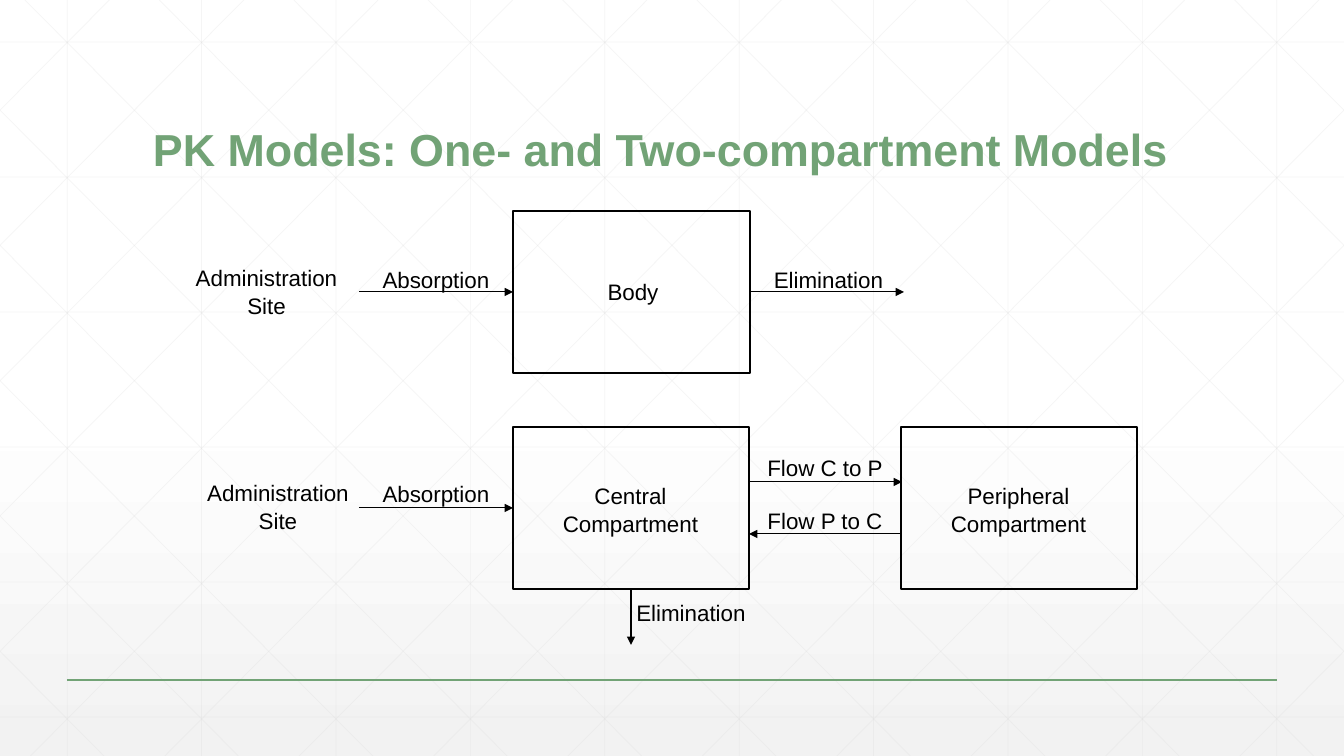
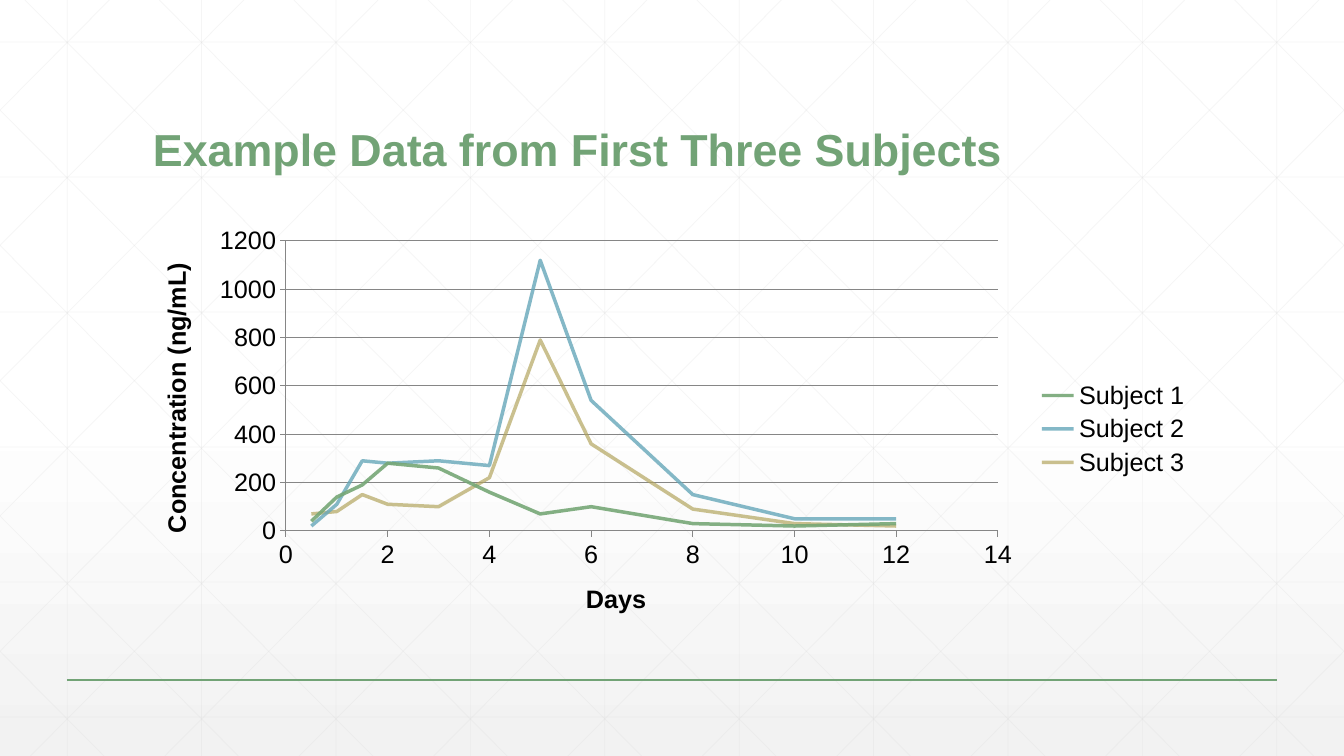
from dataclasses import dataclass

from lxml.etree import SubElement
from pptx import Presentation
from pptx.chart.data import XyChartData
from pptx.dml.color import RGBColor
from pptx.enum.chart import XL_CHART_TYPE as ChartType, XL_LEGEND_POSITION as LegendPosition
from pptx.enum.chart import XL_TICK_MARK as TickMark
from pptx.enum.shapes import MSO_CONNECTOR as Connector, MSO_SHAPE as ShapeKind
from pptx.enum.text import MSO_ANCHOR as Anchor, PP_ALIGN as Align
from pptx.oxml.ns import qn
from pptx.slide import Slide
from pptx.util import Emu, Pt

WIDTH, HEIGHT = 1344, 756
SCALE = 12192000 / WIDTH
FONT = "Arial"
GREEN, BLACK, GRID, AXIS = "72A376", "000000", "D9D9D9", "868686"
BACKGROUND_STOPS = ((0, "FFFFFF", 100), (53, "FFFFFF", 100), (100, "F2F2F2", 65))
GRID_PITCH = 134.4
DIAGONAL_RUN = 751


@dataclass(frozen=True)
class Box:
    """A rectangle on the slide, in pixels."""
    left: int
    top: int
    width: int
    height: int

    def emu(self) -> tuple[Emu, Emu, Emu, Emu]:
        """Return the four lengths in EMU."""
        return px(self.left), px(self.top), px(self.width), px(self.height)


@dataclass(frozen=True)
class Label:
    """A centred diagram label."""
    text: str
    box: Box
    anchor: Anchor = Anchor.MIDDLE


@dataclass(frozen=True)
class Arrow:
    """An arrow between two points, in pixels."""
    start: tuple[int, int]
    end: tuple[int, int]


@dataclass(frozen=True)
class Subject:
    """One concentration curve."""
    name: str
    color: str
    opacity: int
    values: tuple[int, ...]


COMPARTMENTS = (
    Box(513, 211, 237, 162),
    Box(513, 427, 236, 162),
    Box(901, 427, 236, 162),
)
LABELS = (
    Label("Elimination", Box(751, 260, 155, 32), Anchor.TOP),
    Label("Body", Box(515, 261, 236, 60)),
    Label("Absorption", Box(360, 260, 152, 32), Anchor.TOP),
    Label("Administration Site", Box(176, 260, 181, 62)),
    Label("Administration Site", Box(193, 475, 170, 62)),
    Label("Flow C to P", Box(757, 450, 136, 34)),
    Label("Elimination", Box(622, 595, 138, 34)),
    Label("Flow P to C", Box(757, 503, 136, 34)),
    Label("Central Compartment", Box(522, 479, 217, 60)),
    Label("Peripheral Compartment", Box(899, 479, 239, 60)),
    Label("Absorption", Box(370, 474, 132, 32), Anchor.TOP),
)
ARROWS = (
    Arrow((750, 292), (904, 292)),
    Arrow((359, 292), (513, 292)),
    Arrow((631, 589), (631, 645)),
    Arrow((359, 508), (513, 508)),
    Arrow((749, 482), (902, 482)),
    Arrow((902, 534), (749, 534)),
)
DAYS = (0.5, 1, 1.5, 2, 3, 4, 5, 6, 8, 10, 12)
SUBJECTS = (
    Subject("Subject 1", "76A776", 90, (40, 140, 190, 280, 260, 160, 70, 100, 30, 20, 30)),
    Subject("Subject 2", "66A7B9", 80, (20, 110, 290, 280, 290, 270, 1120, 540, 150, 50, 50)),
    Subject("Subject 3", "B1A35A", 68, (70, 80, 150, 110, 100, 220, 790, 360, 90, 30, 20)),
)
CHART_BOX = Box(143, 219, 1058, 420)
PLOT_BOX = Box(286, 241, 712, 290)


def px(pixels: float) -> Emu:
    """Turn pixels into EMU."""
    return Emu(round(pixels * SCALE))


def rgb(color: str) -> RGBColor:
    """Turn a hex string into a colour."""
    return RGBColor.from_string(color)


def style_line(line, color: str, width: float, opacity: int = 100) -> None:
    """Set colour, width in points and opacity of a line."""
    line.color.rgb = rgb(color)
    line.width = Pt(width)
    if opacity < 100:
        color_element = line.fill._xPr.find(".//" + qn("a:srgbClr"))
        SubElement(color_element, qn("a:alpha"), val=str(opacity * 1000))


def add_line(slide: Slide, start: tuple, end: tuple, color: str, width: float,
             opacity: int = 100, arrowhead: bool = False) -> None:
    """Draw a straight line, with an arrowhead at its end if asked."""
    connector = slide.shapes.add_connector(
        Connector.STRAIGHT, px(start[0]), px(start[1]), px(end[0]), px(end[1]))
    style_line(connector.line, color, width, opacity)
    properties = connector._element.spPr
    if arrowhead:
        SubElement(properties.find(qn("a:ln")), qn("a:tailEnd"), type="triangle")
    SubElement(properties, qn("a:effectLst"))


def style_font(font, size: int, color: str, bold: bool = False) -> None:
    """Set the face, size, colour and weight of a font."""
    font.name, font.size, font.bold = FONT, Pt(size), bold
    font.color.rgb = rgb(color)


def add_text(slide: Slide, text: str, box: Box, size: int, color: str, anchor: Anchor,
             align: Align, spacing: float, side_inset: int, bold: bool = False) -> None:
    """Add a text box holding one paragraph."""
    frame = slide.shapes.add_textbox(*box.emu()).text_frame
    frame.word_wrap = True
    frame.vertical_anchor = anchor
    frame.margin_left = frame.margin_right = px(side_inset)
    paragraph = frame.paragraphs[0]
    paragraph.alignment = align
    paragraph.line_spacing = spacing
    run = paragraph.add_run()
    run.text = text
    style_font(run.font, size, color, bold)


def paint_background(slide: Slide) -> None:
    """Fill the background with a gradient from top to bottom."""
    fill = slide.background.fill
    fill.gradient()
    fill.gradient_angle = 270
    stops = slide._element.find(".//" + qn("a:gsLst"))
    for stop in list(stops):
        stops.remove(stop)
    for position, color, opacity in BACKGROUND_STOPS:
        stop = SubElement(stops, qn("a:gs"), pos=str(position * 1000))
        color_element = SubElement(stop, qn("a:srgbClr"), val=color)
        if opacity < 100:
            SubElement(color_element, qn("a:alpha"), val=str(opacity * 1000))


def draw_grid(slide: Slide) -> None:
    """Draw the pale grid with its mirrored diagonals, cut at the slide edges."""
    lines = []
    for column in range(10):
        x = GRID_PITCH * (column + 0.5)
        lines.append(((x, 0), (x, HEIGHT)))
    for row in range(6):
        y = 42 + 135 * row
        lines.append(((0, y), (WIDTH, y)))
    slope = HEIGHT / DIAGONAL_RUN
    for step in range(-5, 10):
        x = 25 + GRID_PITCH * step
        left, right = max(x, 0), min(x + DIAGONAL_RUN, WIDTH)
        top, bottom = (left - x) * slope, (right - x) * slope
        lines.append(((left, top), (right, bottom)))
        lines.append(((WIDTH - left, top), (WIDTH - right, bottom)))
    for start, end in lines:
        add_line(slide, start, end, GRID, 0.5, opacity=25)


def add_base_slide(presentation, title: str) -> Slide:
    """Add a slide with the shared background, grid, footer line and title."""
    slide = presentation.slides.add_slide(presentation.slide_layouts[6])
    paint_background(slide)
    draw_grid(slide)
    add_line(slide, (67, 680), (1277, 680), GREEN, 1)
    add_text(slide, title, Box(143, 55, 1058, 126), 32, GREEN, Anchor.BOTTOM,
             Align.LEFT, 0.9, side_inset=10, bold=True)
    return slide


def add_compartment(slide: Slide, box: Box) -> None:
    """Draw an outlined compartment."""
    shape = slide.shapes.add_shape(ShapeKind.RECTANGLE, *box.emu())
    shape.shadow.inherit = False
    shape.fill.background()
    style_line(shape.line, BLACK, 1)


def draw_models(slide: Slide) -> None:
    """Draw the one- and two-compartment diagrams."""
    for box in COMPARTMENTS:
        add_compartment(slide, box)
    for label in LABELS:
        add_text(slide, label.text, label.box, 16, BLACK, label.anchor,
                 Align.CENTER, 1.05, side_inset=5)
    for arrow in ARROWS:
        add_line(slide, arrow.start, arrow.end, BLACK, 0.75, arrowhead=True)


def style_axis(axis, title: str, maximum: int, step: int) -> None:
    """Set the scale, lines and title of an axis."""
    axis.minimum_scale, axis.maximum_scale, axis.major_unit = 0, maximum, step
    axis.major_tick_mark, axis.minor_tick_mark = TickMark.OUTSIDE, TickMark.NONE
    axis.tick_labels.number_format = "General"
    axis.tick_labels.number_format_is_linked = False
    style_line(axis.format.line, AXIS, 0.75)
    run = axis.axis_title.text_frame.paragraphs[0].add_run()
    run.text = title
    style_font(run.font, 18, BLACK, bold=True)


def place_plot(chart) -> None:
    """Fix the inner plot area inside the chart."""
    plot_area = chart._chartSpace.find(".//" + qn("c:plotArea"))
    layout = plot_area.find(qn("c:layout"))
    if layout is None:
        layout = SubElement(plot_area, qn("c:layout"))
        plot_area.insert(0, layout)
    manual = SubElement(layout, qn("c:manualLayout"))
    settings = {
        "layoutTarget": "inner", "xMode": "edge", "yMode": "edge",
        "x": (PLOT_BOX.left - CHART_BOX.left) / CHART_BOX.width,
        "y": (PLOT_BOX.top - CHART_BOX.top) / CHART_BOX.height,
        "w": PLOT_BOX.width / CHART_BOX.width,
        "h": PLOT_BOX.height / CHART_BOX.height,
    }
    for name, value in settings.items():
        SubElement(manual, qn("c:" + name), val=str(value))


def draw_concentrations(slide: Slide) -> None:
    """Add the chart of concentration by day."""
    data = XyChartData()
    for subject in SUBJECTS:
        series = data.add_series(subject.name)
        for day, value in zip(DAYS, subject.values):
            series.add_data_point(day, value)
    chart = slide.shapes.add_chart(
        ChartType.XY_SCATTER_LINES_NO_MARKERS, *CHART_BOX.emu(), data).chart
    style_font(chart.font, 18, BLACK)
    chart.has_title = False
    chart.has_legend = True
    chart.legend.position = LegendPosition.RIGHT
    chart.legend.include_in_layout = False
    plot = chart.plots[0]
    plot.vary_by_categories = False
    for series, subject in zip(plot.series, SUBJECTS):
        series.smooth = False
        style_line(series.format.line, subject.color, 2.5, subject.opacity)
    style_axis(chart.category_axis, "Days", 14, 2)
    style_axis(chart.value_axis, "Concentration (ng/mL)", 1200, 200)
    chart.category_axis.has_major_gridlines = False
    chart.value_axis.has_major_gridlines = True
    style_line(chart.value_axis.major_gridlines.format.line, AXIS, 0.75)
    place_plot(chart)


def main() -> None:
    """Build and save both slides."""
    presentation = Presentation()
    presentation.slide_width, presentation.slide_height = px(WIDTH), px(HEIGHT)
    draw_models(add_base_slide(presentation, "PK Models: One- and Two-compartment Models"))
    draw_concentrations(add_base_slide(presentation, "Example Data from First Three Subjects"))
    presentation.save("out.pptx")


main()
